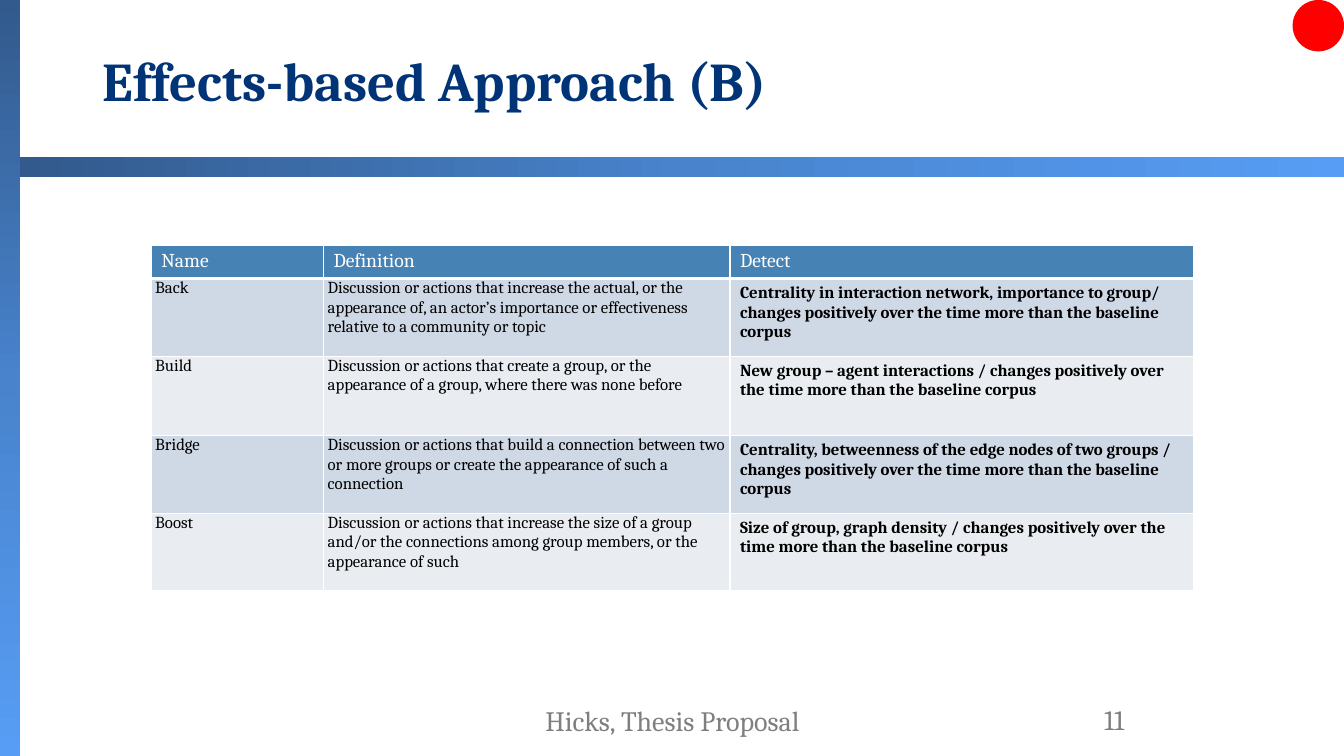
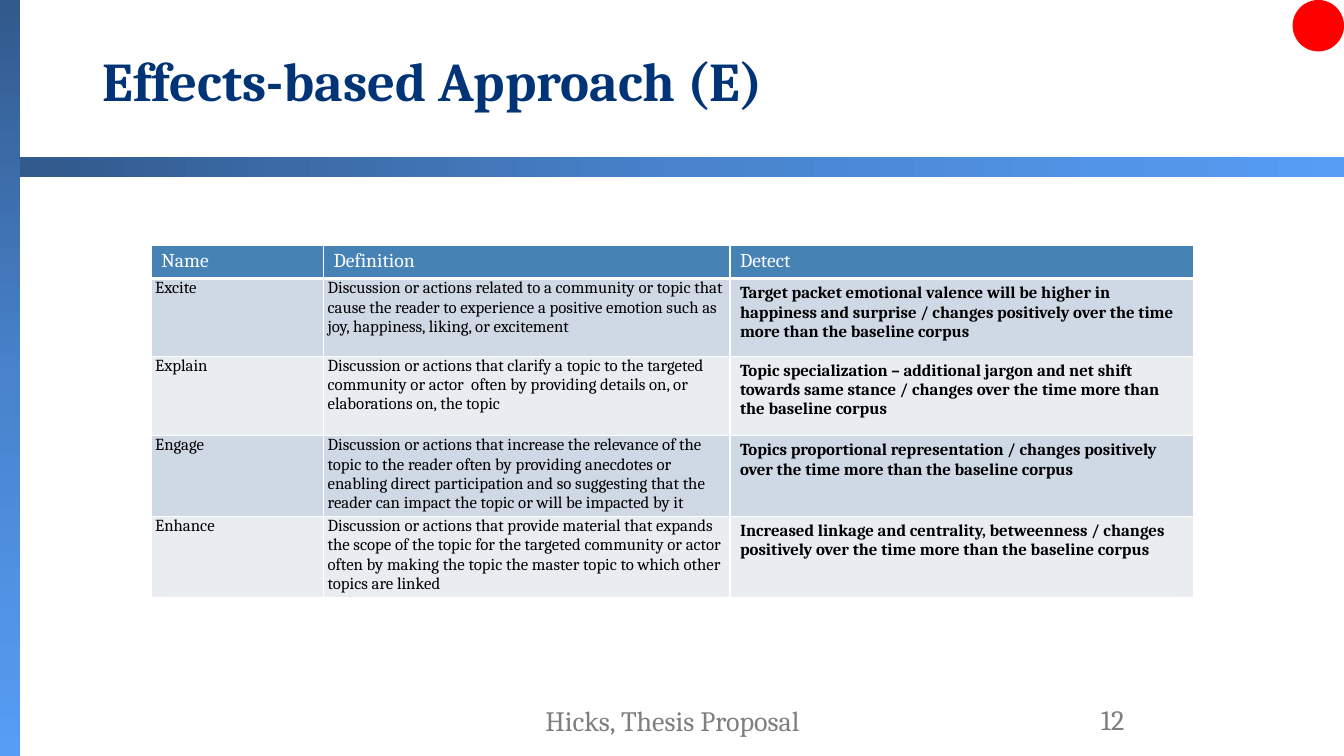
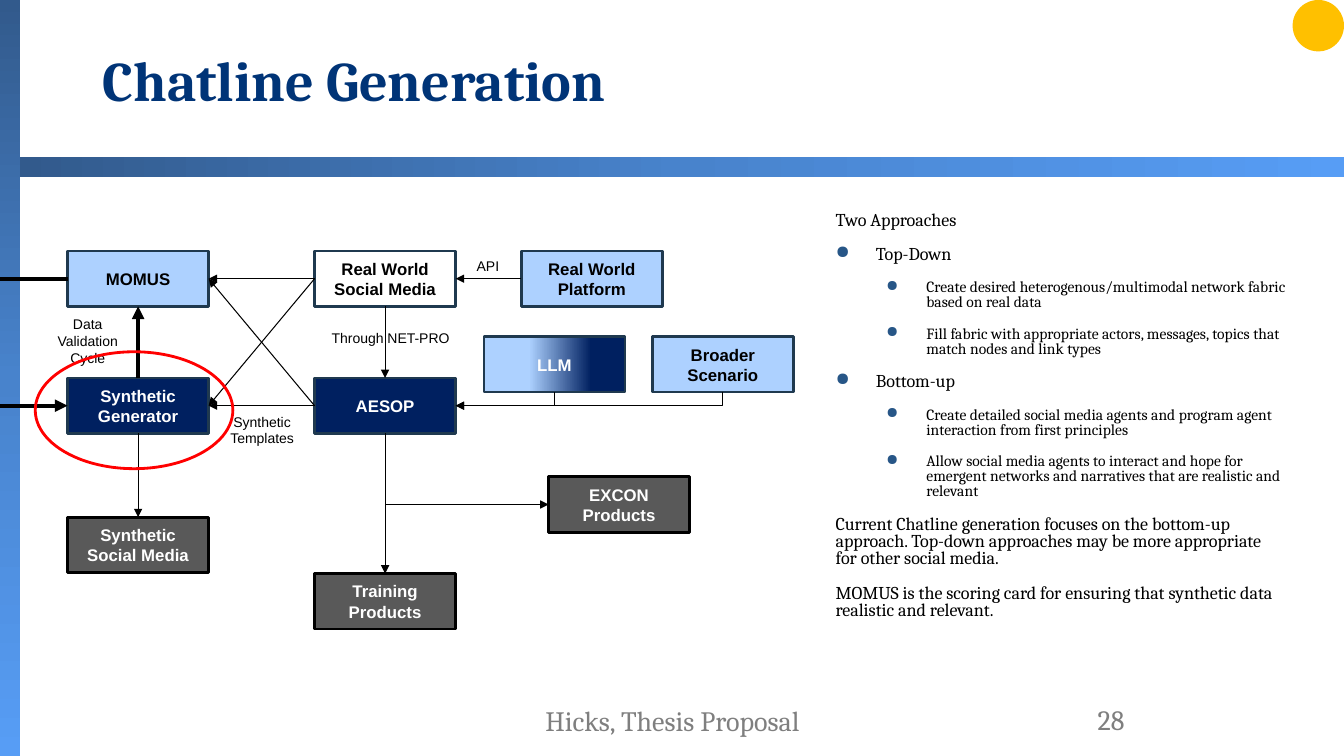
from lxml.etree import SubElement
from pptx import Presentation
from pptx.dml.color import RGBColor
from pptx.enum.shapes import MSO_CONNECTOR as LINE, MSO_SHAPE as SHAPE
from pptx.enum.text import MSO_ANCHOR as ANCHOR, PP_ALIGN as ALIGN
from pptx.oxml.ns import qn
from pptx.util import Inches, Pt

FOOTER = "Hicks, Thesis Proposal"
NAVY, SKY, DARK, EDGE = "002060", "ADD1FF", "595959", "1F394F"
BLACK, WHITE, RED, AMBER = "000000", "FFFFFF", "FF0000", "FFC000"
BAND_STOPS = [(0, "325A8C"), (50, "4883CC"), (100, "579DF5")]
LLM_STOPS = [(32, SKY), (76, NAVY)]
TITLE = {"name": "Cambria", "bold": True, "color": "003477"}
SMALL_PRINT = {"name": "Cambria", "size": 20, "color": "7F7F7F"}
HEADER = {"name": "Cambria", "size": 14, "bold": False, "color": WHITE}
BODY = {"name": "Cambria", "color": BLACK}
LABEL = {"name": "Arial", "size": 10, "color": BLACK}
BOX = {"name": "Arial", "size": 12, "bold": True}

COLUMNS = [("Name", 1.71), ("Definition", 4.03), ("Detect", 4.6)]
ROW_HEIGHTS = [0.32, 0.77, 0.79, 0.77, 0.77]
ROW_FILLS = ["CFD8E5", "E9EDF2"]

EFFECTS = [
    ("Effects-based Approach (B)", 11, [
        ("Back",
         "Discussion or actions that increase the actual, or the appearance of, an actor’s importance "
         "or effectiveness relative to a community or topic",
         "Centrality in interaction network, importance to group/ changes positively over the time "
         "more than the baseline corpus"),
        ("Build",
         "Discussion or actions that create a group, or the appearance of a group, where there was "
         "none before",
         "New group – agent interactions / changes positively over the time more than the baseline "
         "corpus"),
        ("Bridge",
         "Discussion or actions that build a connection between two or more groups or create the "
         "appearance of such a connection",
         "Centrality, betweenness of the edge nodes of two groups / changes positively over the time "
         "more than the baseline corpus"),
        ("Boost",
         "Discussion or actions that increase the size of a group and/or the connections among group "
         "members, or the appearance of such",
         "Size of group, graph density / changes positively over the time more than the baseline "
         "corpus"),
    ]),
    ("Effects-based Approach (E)", 12, [
        ("Excite",
         "Discussion or actions related to a community or topic that cause the reader to experience "
         "a positive emotion such as joy, happiness, liking, or excitement",
         "Target packet emotional valence will be higher in happiness and surprise / changes "
         "positively over the time more than the baseline corpus"),
        ("Explain",
         "Discussion or actions that clarify a topic to the targeted community or actor  often by "
         "providing details on, or elaborations on, the topic",
         "Topic specialization – additional jargon and net shift towards same stance / changes over "
         "the time more than the baseline corpus"),
        ("Engage",
         "Discussion or actions that increase the relevance of the topic to the reader often by "
         "providing anecdotes or enabling direct participation and so suggesting that the reader can "
         "impact the topic or will be impacted by it",
         "Topics proportional representation / changes positively over the time more than the "
         "baseline corpus"),
        ("Enhance",
         "Discussion or actions that provide material that expands the scope of the topic for the "
         "targeted community or actor often by making the topic the master topic to which other "
         "topics are linked",
         "Increased linkage and centrality, betweenness / changes positively over the time more than "
         "the baseline corpus"),
    ]),
]

BOX_W, BOX_H = 1.4, 0.55
BOXES = {
    "MOMUS": (0.67, 2.49, SKY, EDGE, BLACK),
    "Real World Social Media": (3.12, 2.49, None, EDGE, BLACK),
    "Real World Platform": (5.17, 2.49, SKY, EDGE, BLACK),
    "LLM": (4.8, 3.34, LLM_STOPS, EDGE, WHITE),
    "Broader Scenario": (6.47, 3.34, SKY, EDGE, BLACK),
    "Synthetic Generator": (0.67, 3.75, NAVY, EDGE, WHITE),
    "AESOP": (3.12, 3.75, NAVY, EDGE, WHITE),
    "EXCON Products": (5.44, 4.73, DARK, BLACK, WHITE),
    "Synthetic Social Media": (0.67, 5.13, DARK, BLACK, WHITE),
    "Training Products": (3.12, 5.69, DARK, BLACK, WHITE),
}
LABELS = [
    (["Through NET-PRO"], (3.19, 3.22, 1.41, 0.27), ALIGN.LEFT, False),
    (["Synthetic Templates"], (1.98, 4.05, 1.24, 0.44), ALIGN.CENTER, True),
    (["Data Validation", "Cycle"], (0.37, 3.08, 1, 0.61), ALIGN.CENTER, True),
    (["API"], (4.63, 2.51, 0.43, 0.27), ALIGN.LEFT, False),
]
TOP, LEFT, BOTTOM, RIGHT = range(4)
LINKS = [
    ("Synthetic Generator", TOP, "MOMUS", BOTTOM, 3),
    ("AESOP", LEFT, "Synthetic Generator", RIGHT, 0.75),
    ("AESOP", LEFT, "MOMUS", RIGHT, 0.75),
    ("Real World Social Media", LEFT, "Synthetic Generator", RIGHT, 0.75),
    ("Real World Social Media", LEFT, "MOMUS", RIGHT, 0.75),
    ("Real World Social Media", BOTTOM, "AESOP", TOP, 0.75),
    ("Real World Platform", LEFT, "Real World Social Media", RIGHT, 0.75),
    ("LLM", BOTTOM, "AESOP", RIGHT, 0.75),
    ("Broader Scenario", BOTTOM, "AESOP", RIGHT, 0.75),
    ("AESOP", BOTTOM, "EXCON Products", LEFT, 0.75),
    ("AESOP", BOTTOM, "Training Products", TOP, 0.75),
    ("Synthetic Generator", BOTTOM, "Synthetic Social Media", TOP, 0.75),
]
APPROACHES = [
    (0, "Two Approaches"),
    (1, "Top-Down"),
    (2, "Create desired heterogenous/multimodal network fabric based on real data"),
    (2, "Fill fabric with appropriate actors, messages, topics that match nodes and link types"),
    (1, "Bottom-up"),
    (2, "Create detailed social media agents and program agent interaction from first principles"),
    (2, "Allow social media agents to interact and hope for emergent networks and narratives that are "
        "realistic and relevant"),
    (0, "Current Chatline generation focuses on the bottom-up approach. Top-down approaches may be "
        "more appropriate for other social media."),
    (0, "MOMUS is the scoring card for ensuring that synthetic data realistic and relevant."),
]
OUTLINE_LEVELS = [(0.1, 0, 12.9), (0.5, -0.4, 12.9), (1, -0.4, 11.1)]


def color(value):
    return RGBColor.from_string(value)


def style(font, formats):
    for key, value in formats.items():
        if key == "color":
            font.color.rgb = color(value)
        else:
            setattr(font, key, Pt(value) if key == "size" else value)


def paint(shape, fill, angle=0):
    if fill is None:
        shape.fill.background()
    elif isinstance(fill, str):
        shape.fill.solid()
        shape.fill.fore_color.rgb = color(fill)
    else:
        shape.fill.gradient()
        gradient = shape.element.spPr.find(qn("a:gradFill"))
        stops = gradient.find(qn("a:gsLst"))
        for stop in list(stops):
            stops.remove(stop)
        for position, value in fill:
            stop = SubElement(stops, qn("a:gs"), pos=str(position * 1000))
            SubElement(stop, qn("a:srgbClr"), val=value)
        gradient.find(qn("a:lin")).set("ang", str(angle * 60000))


def add_block(slide, kind, at, fill, edge=None, angle=0):
    block = slide.shapes.add_shape(kind, *map(Inches, at))
    block.shadow.inherit = False
    paint(block, fill, angle)
    if edge:
        block.line.color.rgb = color(edge)
        block.line.width = Pt(2)
    else:
        block.line.fill.background()
    return block


def add_text(slide, lines, at, formats, align=ALIGN.LEFT, anchor=ANCHOR.MIDDLE, wrap=True):
    frame = slide.shapes.add_textbox(*map(Inches, at)).text_frame
    frame.word_wrap = wrap
    frame.vertical_anchor = anchor
    frame.text = "\n".join(lines)
    for paragraph in frame.paragraphs:
        paragraph.alignment = align
        style(paragraph.font, formats)
    return frame


def add_page(deck, title, title_size, number, status):
    slide = deck.slides.add_slide(deck.slide_layouts[6])
    add_block(slide, SHAPE.RECTANGLE, (0, 0, 0.2, 7.5), BAND_STOPS, angle=90)
    add_block(slide, SHAPE.RECTANGLE, (0.2, 1.56, 13.13, 0.2), BAND_STOPS)
    heading = add_text(slide, [title], (0.92, 0.16, 11.5, 1.34), {**TITLE, "size": title_size})
    heading.paragraphs[0].line_spacing = 0.9
    add_text(slide, [str(number)], (9.44, 6.94, 1.81, 0.4), SMALL_PRINT, ALIGN.RIGHT)
    add_text(slide, [FOOTER], (4.42, 6.95, 4.5, 0.4), SMALL_PRINT, ALIGN.CENTER)
    add_block(slide, SHAPE.OVAL, (12.82, 0, 0.51, 0.51), status)
    return slide


def add_borders(cell, bottom):
    properties = cell._tc.get_or_add_tcPr()
    for side, width in (("lnL", 1), ("lnR", 1), ("lnT", 1), ("lnB", bottom)):
        border = SubElement(properties, qn("a:" + side), w=str(Pt(width)))
        SubElement(SubElement(border, qn("a:solidFill")), qn("a:srgbClr"), val=WHITE)


def add_effects_table(slide, effects):
    names, widths = zip(*COLUMNS)
    rows = [names, *effects]
    at = (1.5, 2.43, sum(widths), sum(ROW_HEIGHTS))
    table = slide.shapes.add_table(len(rows), len(names), *map(Inches, at)).table
    for column, width in zip(table.columns, widths):
        column.width = Inches(width)
    for r, texts in enumerate(rows):
        table.rows[r].height = Inches(ROW_HEIGHTS[r])
        for c, text in enumerate(texts):
            cell = table.cell(r, c)
            add_borders(cell, 1 if r else 3)
            cell.fill.solid()
            cell.fill.fore_color.rgb = color(ROW_FILLS[(r - 1) % 2] if r else "4682B4")
            cell.text = text
            if r and c < 2:
                cell.margin_left = cell.margin_right = Inches(0.04)
                cell.margin_top = cell.margin_bottom = 0
            formats = {**BODY, "size": 12, "bold": c == 2} if r else HEADER
            style(cell.text_frame.paragraphs[0].font, formats)


def add_line(slide, start, end, width, arrow=True):
    line = slide.shapes.add_connector(LINE.STRAIGHT, *start, *end)
    line.line.color.rgb = color(BLACK)
    line.line.width = Pt(width)
    if arrow:
        SubElement(line.line._get_or_add_ln(), qn("a:tailEnd"), type="triangle")
    SubElement(line.element.spPr, qn("a:effectLst"))
    return line


def bend(line):
    x1, y1, x2, y2 = line.begin_x, line.begin_y, line.end_x, line.end_y
    line.element.spPr.find(qn("a:prstGeom")).set("prst", "bentConnector2")
    frame = line.element.spPr.find(qn("a:xfrm"))
    for flip in ("flipH", "flipV"):
        frame.attrib.pop(flip, None)
    line.width, line.height = abs(y2 - y1), abs(x2 - x1)
    line.left = (x1 + x2 - line.width) // 2
    line.top = (y1 + y2 - line.height) // 2
    frame.set("rot", str((90 if x2 < x1 else 270) * 60000))
    if x2 > x1:
        frame.set("flipH", "1")


def add_diagram(slide):
    boxes = {}
    for name, (x, y, fill, edge, ink) in BOXES.items():
        box = add_block(slide, SHAPE.RECTANGLE, (x, y, BOX_W, BOX_H), fill, edge)
        box.text_frame.text = name
        box.text_frame.paragraphs[0].alignment = ALIGN.CENTER
        style(box.text_frame.paragraphs[0].font, {**BOX, "color": ink})
        boxes[name] = box
    for lines, at, align, wrap in LABELS:
        add_text(slide, lines, at, LABEL, align, ANCHOR.TOP, wrap)
    for source, source_side, target, target_side, width in LINKS:
        line = add_line(slide, (0, 0), (0, 0), width)
        line.begin_connect(boxes[source], source_side)
        line.end_connect(boxes[target], target_side)
        if source_side == BOTTOM and target_side in (LEFT, RIGHT):
            bend(line)
    for name, arrow in (("MOMUS", False), ("Synthetic Generator", True)):
        box = boxes[name]
        middle = box.top + box.height // 2
        add_line(slide, (0, middle), (box.left, middle), 3, arrow)
    add_block(slide, SHAPE.OVAL, (0.35, 3.49, 1.96, 1.16), None, RED)


def add_outline(slide):
    levels, texts = zip(*APPROACHES)
    frame = add_text(slide, texts, (8.09, 2.06, 4.76, 4.51), BODY, anchor=ANCHOR.TOP)
    for level, paragraph in zip(levels, frame.paragraphs):
        margin, indent, size = OUTLINE_LEVELS[level]
        properties = paragraph._p.get_or_add_pPr()
        properties.set("marL", str(Inches(margin)))
        properties.set("indent", str(Inches(indent)))
        paragraph.line_spacing = 0.8
        paragraph.space_after = Pt(12)
        if level:
            run_defaults = properties.find(qn("a:defRPr"))
            properties.remove(run_defaults)
            SubElement(SubElement(properties, qn("a:buClr")), qn("a:srgbClr"), val="275687")
            SubElement(properties, qn("a:buChar"), char="●")
            properties.append(run_defaults)
        paragraph.font.size = Pt(size)


def main():
    deck = Presentation()
    deck.slide_width, deck.slide_height = Inches(13.33), Inches(7.5)
    for title, number, effects in EFFECTS:
        add_effects_table(add_page(deck, title, 39, number, RED), effects)
    generation = add_page(deck, "Chatline Generation", 40, 28, AMBER)
    add_diagram(generation)
    add_outline(generation)
    deck.save("out.pptx")


if __name__ == "__main__":
    main()
